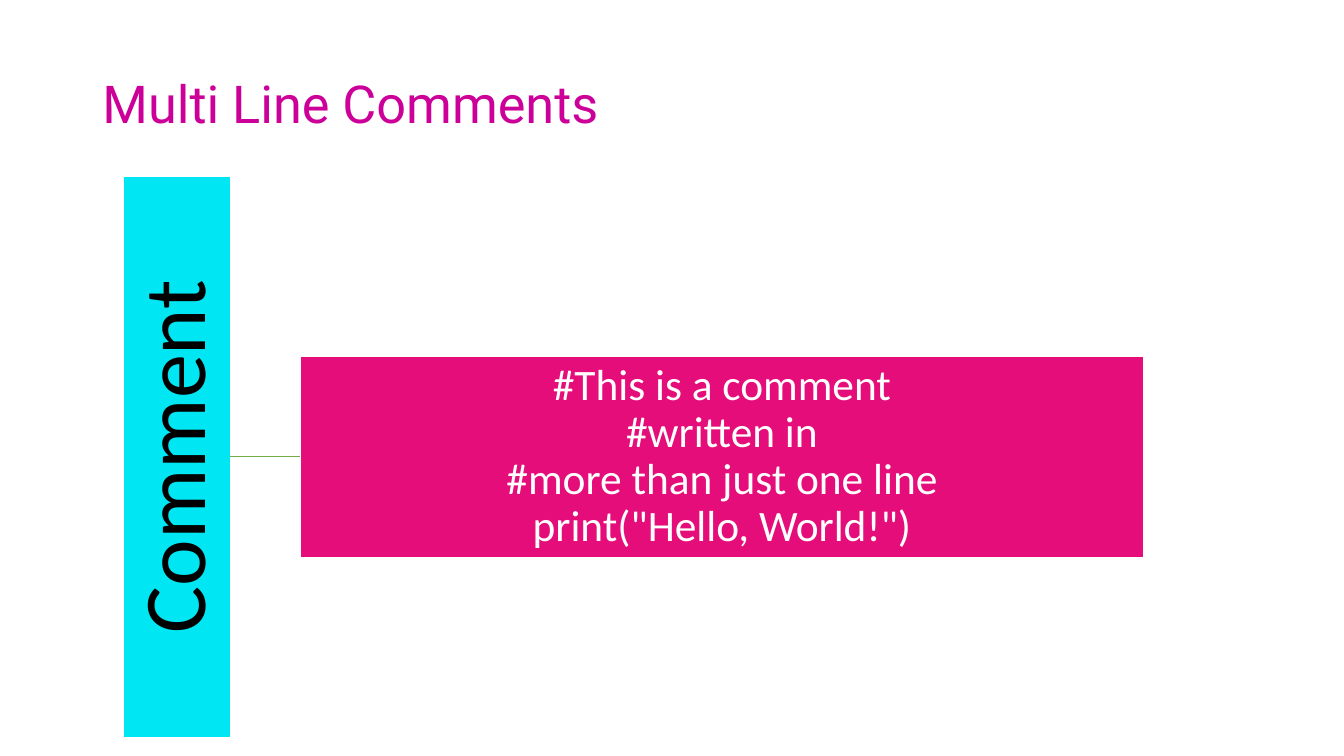
from lxml import etree
from pptx import Presentation
from pptx.dml.color import RGBColor
from pptx.enum import shapes, text
from pptx.oxml import ns
from pptx.util import Pt

COLORS = {
    "title": "CC0099",
    "bar": "00E6F2",
    "code": "E50D79",
    "link": "70AD47",
    "white": "FFFFFF",
    "black": "000000",
}
MIDDLE_Y = 326.2  # shared centre line of the diagram
CODE_LINES = [
    "#This is a comment",
    "#written in",
    "#more than just one line",
    'print("Hello, World!")',
]


def color(name):
    return RGBColor.from_string(COLORS[name])


def style_paragraph(para, font_name, size, color_name, align):
    para.alignment = align
    para.line_spacing = 0.9
    para.font.name = font_name
    para.font.size = Pt(size)
    para.font.color.rgb = color(color_name)


def set_title(page, wording):
    title = page.shapes.title
    title.left, title.top = Pt(66), Pt(28.8)
    title.width, title.height = Pt(828), Pt(104.4)
    frame = title.text_frame
    frame.text = wording
    frame.vertical_anchor = text.MSO_ANCHOR.MIDDLE
    frame.margin_bottom = Pt(13.5)
    style_paragraph(frame.paragraphs[0], "Roboto", 37.3, "title", text.PP_ALIGN.LEFT)


def add_block(page, left, width, height, wording, fill, size, ink, inset):
    """Add a rectangle centred on the diagram's middle line."""
    box = page.shapes.add_shape(
        shapes.MSO_SHAPE.RECTANGLE,
        Pt(left), Pt(MIDDLE_Y - height / 2), Pt(width), Pt(height),
    )
    box.shadow.inherit = False
    box.fill.solid()
    box.fill.fore_color.rgb = color(fill)
    box.line.color.rgb = color("white")
    box.line.width = Pt(1)
    frame = box.text_frame
    frame.word_wrap = True
    frame.vertical_anchor = text.MSO_ANCHOR.MIDDLE
    frame.margin_left = frame.margin_right = Pt(inset)
    frame.margin_top = frame.margin_bottom = Pt(inset)
    frame.text = wording
    para = frame.paragraphs[0]
    style_paragraph(para, "Calibri", size, ink, text.PP_ALIGN.CENTER)
    return box


def turn_text_upward(box):
    box.element.txBody.find(ns.qn("a:bodyPr")).set("vert", "vert270")


def join_blocks(page, start, end):
    link = page.shapes.add_connector(shapes.MSO_CONNECTOR.STRAIGHT, 0, 0, 0, 0)
    link.begin_connect(start, 3)
    link.end_connect(end, 1)
    link.line.color.rgb = color("link")
    link.line.width = Pt(1)
    etree.SubElement(link.element.spPr, ns.qn("a:effectLst"))


def main():
    deck = Presentation()
    deck.slide_width, deck.slide_height = Pt(960), Pt(540)
    page = deck.slides.add_slide(deck.slide_layouts[5])

    # Heading
    set_title(page, "Multi Line Comments")

    # Vertical label, code block and the line between them
    label = add_block(page, 88.2, 76.4, 401, "Comment", "bar", 63, "black", 2.9)
    turn_text_upward(label)
    code = add_block(page, 214.6, 602, 144, "\v".join(CODE_LINES),
                     "code", 31, "white", 1.4)
    join_blocks(page, label, code)

    deck.save("out.pptx")


if __name__ == "__main__":
    main()
